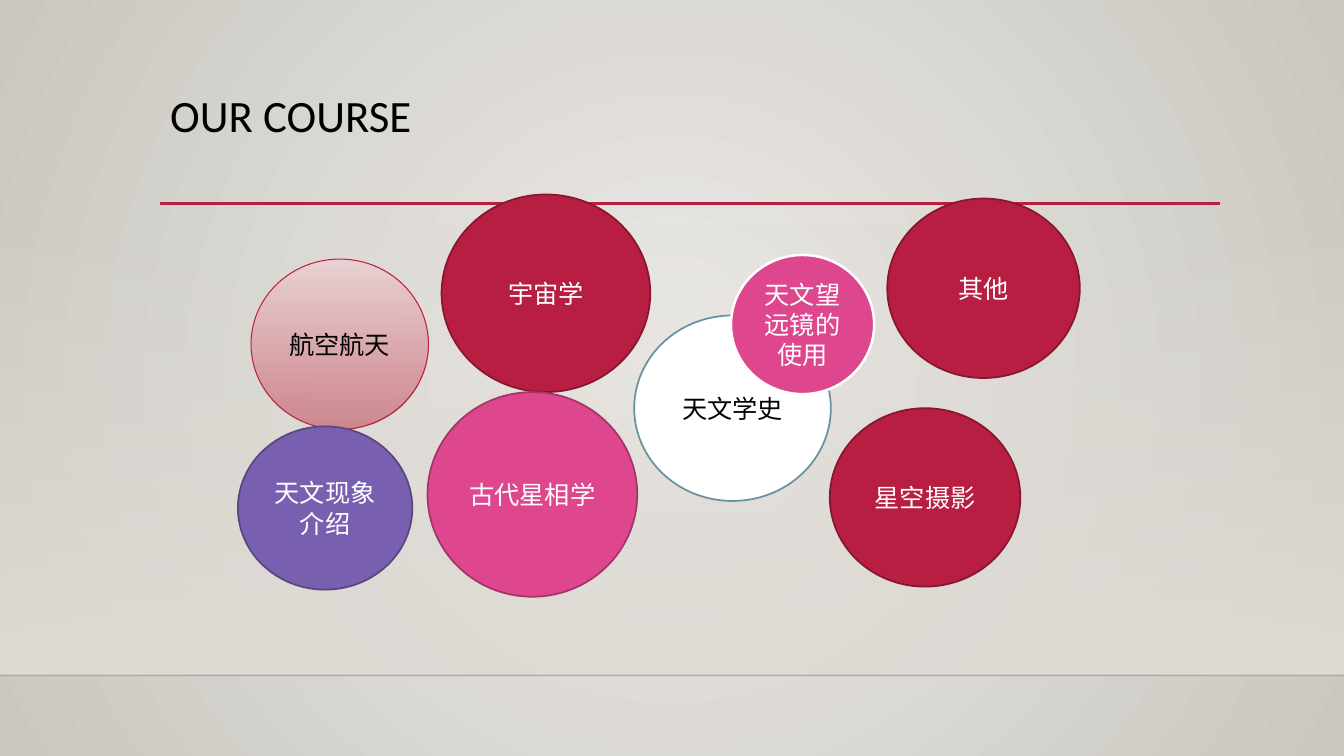
"""Build the course overview slide with its cluster of topic bubbles."""
from lxml.etree import SubElement
from pptx import Presentation
from pptx.dml.color import RGBColor
from pptx.enum.shapes import MSO_CONNECTOR, MSO_SHAPE
from pptx.enum.text import MSO_ANCHOR, PP_ALIGN
from pptx.oxml.ns import qn
from pptx.util import Inches, Pt

THEME = {
    "font": "Calibri", "title_size": 32, "topic_size": 18,
    "black": "000000", "white": "FFFFFF", "crimson": "B71E42",
    "backdrop": [("ECEAE7", 100), ("CAC7C1", 100)],
    "wall": [("DFDBD5", 0), ("DFDBD5", 100)],
    "floor_edge": "000001",
}
STYLES = {
    "blush": {"fill": [("EAD1D3", 100), ("CD828A", 92)], "outline": THEME["crimson"], "weight": 0.75, "ink": "black"},
    "crimson": {"fill": THEME["crimson"], "outline": "871631", "weight": 1.25, "ink": "white"},
    "pink": {"fill": "DE478E", "outline": "A43569", "weight": 1.25, "ink": "white"},
    "pink_ringed": {"fill": "DE478E", "outline": THEME["white"], "weight": 1.75, "ink": "white"},
    "purple": {"fill": "795FAF", "outline": "5A4681", "weight": 1.25, "ink": "white"},
    "pale": {"fill": THEME["white"], "outline": "6892A0", "weight": 1.25, "ink": "black"},
}
TITLE = "OUR COURSE"
TITLE_BOX = (1.59, 0.88, 10.5, 1.15)
WALL_BOX = (0, 2.21, 13.33, 4.49)
RULES = [
    {"span": (0, 13.33), "y": 6.7, "color": THEME["floor_edge"], "weight": 1, "opacity": 20},
    {"span": (1.59, 12.1), "y": 2.02, "color": THEME["crimson"], "weight": 2.5, "opacity": 100},
]
TOPICS = [
    ("航空航天", "blush", (2.49, 2.57, 1.76, 1.69)),
    ("宇宙学", "crimson", (4.38, 1.93, 2.07, 1.96)),
    ("古代星相学", "pink", (4.24, 3.89, 2.08, 2.03)),
    ("天文现象介绍", "purple", (2.36, 4.23, 1.73, 1.62)),
    ("天文学史", "pale", (6.29, 3.13, 1.95, 1.84)),
    ("天文望远镜的使用", "pink_ringed", (7.25, 2.53, 1.42, 1.38)),
    ("星空摄影", "crimson", (8.23, 4.05, 1.89, 1.77)),
    ("其他", "crimson", (8.8, 1.97, 1.91, 1.78)),
]


def inches(box):
    return [Inches(length) for length in box]


def apply(target, formats):
    for name, value in formats.items():
        setattr(target, name, value)


def set_opacity(owner, percent):
    if percent < 100:
        color = next(owner.iter(qn("a:srgbClr")))
        SubElement(color, qn("a:alpha"), val=str(percent * 1000))


def paint(fill, owner, colors):
    if isinstance(colors, str):
        fill.solid()
        fill.fore_color.rgb = RGBColor.from_string(colors)
        return
    fill.gradient()
    fill.gradient_angle = 270
    for position, (stop, (color, _)) in enumerate(zip(fill.gradient_stops, colors)):
        stop.position = position
        stop.color.rgb = RGBColor.from_string(color)
    for stop, (_, opacity) in zip(owner.iter(qn("a:gs")), colors):
        set_opacity(stop, opacity)


def draw_line(line, color, weight):
    paint(line.fill, None, color)
    line.width = Pt(weight)


def write(frame, words, size, ink, paragraph_formats, frame_formats):
    apply(frame, {"word_wrap": True, **frame_formats})
    paragraph = frame.paragraphs[0]
    apply(paragraph, paragraph_formats)
    run = paragraph.add_run()
    run.text = words
    apply(run.font, {"name": THEME["font"], "size": Pt(size)})
    run.font.color.rgb = RGBColor.from_string(THEME[ink])


def add_filled(slide, preset, box, colors):
    part = slide.shapes.add_shape(preset, *inches(box))
    part.shadow.inherit = False
    paint(part.fill, part.element.spPr, colors)
    return part


def add_backdrop(slide):
    paint(slide.background.fill, slide.element, THEME["backdrop"])
    gradient = next(slide.element.iter(qn("a:gradFill")))
    gradient.remove(gradient.find(qn("a:lin")))
    circle = SubElement(gradient, qn("a:path"), path="circle")
    SubElement(circle, qn("a:fillToRect"), dict.fromkeys("ltrb", "50000"))


def add_rule(slide, span, y, color, weight, opacity):
    rule = slide.shapes.add_connector(MSO_CONNECTOR.STRAIGHT, *inches((span[0], y, span[1], y)))
    draw_line(rule.line, color, weight)
    set_opacity(rule.element.spPr, opacity)
    SubElement(rule.element.spPr, qn("a:effectLst"))


def add_topic(slide, words, style, box):
    look = STYLES[style]
    bubble = add_filled(slide, MSO_SHAPE.OVAL, box, look["fill"])
    draw_line(bubble.line, look["outline"], look["weight"])
    write(bubble.text_frame, words, THEME["topic_size"], look["ink"],
          {"alignment": PP_ALIGN.CENTER}, {"vertical_anchor": MSO_ANCHOR.MIDDLE})


deck = Presentation()
apply(deck, {"slide_width": Inches(13.33), "slide_height": Inches(7.5)})
course = deck.slides.add_slide(deck.slide_layouts[6])
add_backdrop(course)
wall = add_filled(course, MSO_SHAPE.RECTANGLE, WALL_BOX, THEME["wall"])
wall.line.fill.background()
for rule_format in RULES:
    add_rule(course, **rule_format)
heading = course.shapes.add_textbox(*inches(TITLE_BOX))
write(heading.text_frame, TITLE, THEME["title_size"], "black",
      {"line_spacing": 0.9}, {"vertical_anchor": MSO_ANCHOR.TOP})
for topic in TOPICS:
    add_topic(course, *topic)
deck.save("out.pptx")
